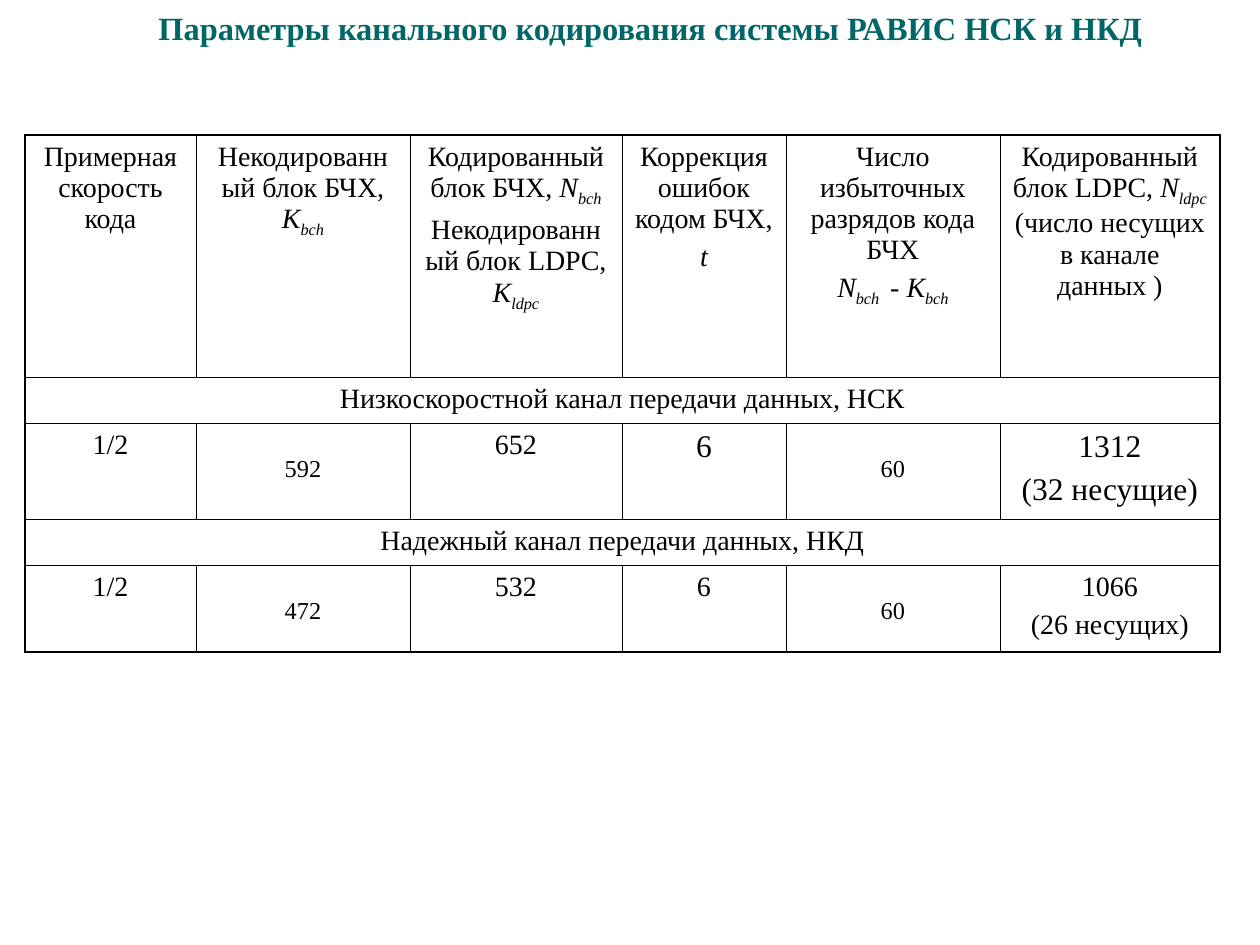
from dataclasses import dataclass

from lxml.etree import SubElement
from pptx import Presentation
from pptx.dml.color import RGBColor
from pptx.enum.text import MSO_ANCHOR, MSO_AUTO_SIZE, PP_ALIGN
from pptx.oxml.ns import qn
from pptx.util import Pt


@dataclass(frozen=True)
class Theme:
    font: str = "Times New Roman"
    title_color: str = "006666"
    text_color: str = "000000"
    title_size: float = 18.5
    body: int = 16
    large: int = 18
    lowered: int = 24
    thin: float = 0.45
    thick: float = 1.08


THEME = Theme()
EMU_PER_PX = 914400 / 126
PLAIN, ITALIC, SUB, LOW = "plain", "italic", "sub", "low"

# Content: a cell is (size, paragraphs), a paragraph is a list of (text, style)
TITLE = "Параметры канального кодирования системы РАВИС НСК и НКД"


def cell_text(*lines, size=THEME.body, style=PLAIN):
    return size, [[(line, style)] for line in lines]


def lowered(text):
    return cell_text(text, size=THEME.lowered, style=LOW)


HEADER = [
    cell_text("Примерная скорость кода"),
    (THEME.body, [[("Некодированный блок БЧХ, ", PLAIN), ("K", ITALIC), ("bch", SUB)]]),
    (THEME.body, [
        [("Кодированный блок БЧХ, ", PLAIN), ("N", ITALIC), ("bch", SUB)],
        [("Некодированный блок LDPC, ", PLAIN), ("K", ITALIC), ("ldpc", SUB)],
    ]),
    (THEME.body, [[("Коррекция ошибок кодом БЧХ,", PLAIN)], [("t", ITALIC)]]),
    (THEME.body, [
        [("Число избыточных разрядов кода БЧХ", PLAIN)],
        [("N", ITALIC), ("bch ", SUB), (" - K", ITALIC), ("bch", SUB)],
    ]),
    (THEME.body, [[("Кодированный блок LDPC, ", PLAIN), ("N", ITALIC),
                   ("ldpc ", SUB), ("(число несущих в канале данных )", PLAIN)]]),
]
# A row with a single cell spans the whole table
ROWS = [
    HEADER,
    [cell_text("Низкоскоростной канал передачи данных, НСК")],
    [cell_text("1/2"), lowered("592"), cell_text("652"),
     cell_text("6", size=THEME.large), lowered("60"),
     cell_text("1312", "(32 несущие)", size=THEME.large)],
    [cell_text("Надежный канал передачи данных, НКД")],
    [cell_text("1/2"), lowered("472"), cell_text("532"), cell_text("6"),
     lowered("60"), cell_text("1066", "(26 несущих)")],
]

# Geometry in px
SLIDE = (1260, 945)
TITLE_BOX = (74, 0, 1152, 54)
TABLE_AT = (25, 135)
COL_WIDTHS = [171, 214, 212, 164, 214, 220]
ROW_HEIGHTS = [242, 46, 96, 46, 87]


def px(value):
    return round(value * EMU_PER_PX)


def format_run(r, size, color, style=PLAIN, bold=False):
    r.font.name = THEME.font
    r.font.size = Pt(size)
    r.font.color.rgb = RGBColor.from_string(color)
    r.font.bold = bold
    r.font.italic = style in (ITALIC, SUB)
    if style in (SUB, LOW):
        r.font._element.set("baseline", "-25000")


def fill_cell(cell, size, paragraphs):
    tf = cell.text_frame
    for i, runs in enumerate(paragraphs):
        p = tf.add_paragraph() if i else tf.paragraphs[0]
        p.alignment = PP_ALIGN.CENTER
        p.space_before = Pt(size / 4)
        for text, style in runs:
            r = p.add_run()
            r.text = text
            format_run(r, size, THEME.text_color, style)


def set_borders(cell, outer):
    """Draw the four borders; sides named in outer get the thick line."""
    tcPr = cell._tc.get_or_add_tcPr()
    for i, side in enumerate("LRTB"):
        width = THEME.thick if side in outer else THEME.thin
        ln = SubElement(tcPr, qn(f"a:ln{side}"), w=str(Pt(width)))
        SubElement(SubElement(ln, qn("a:solidFill")), qn("a:srgbClr"), val=THEME.text_color)
        tcPr.insert(i, ln)


def add_title(s):
    sp = s.shapes.title
    sp.left, sp.top, sp.width, sp.height = map(px, TITLE_BOX)
    tf = sp.text_frame
    tf.text = TITLE
    tf.word_wrap = True
    tf.auto_size = MSO_AUTO_SIZE.NONE
    tf.vertical_anchor = MSO_ANCHOR.BOTTOM
    p = tf.paragraphs[0]
    p.alignment = PP_ALIGN.CENTER
    p.line_spacing = 0.9
    format_run(p.runs[0], THEME.title_size, THEME.title_color, bold=True)


def add_parameter_table(s):
    n_rows, n_cols = len(ROWS), len(COL_WIDTHS)
    size = sum(COL_WIDTHS), sum(ROW_HEIGHTS)
    table = s.shapes.add_table(n_rows, n_cols, *map(px, TABLE_AT + size)).table
    table.first_row = table.horz_banding = False
    for col, width in zip(table.columns, COL_WIDTHS):
        col.width = px(width)
    for row, height in zip(table.rows, ROW_HEIGHTS):
        row.height = px(height)

    for y, row in enumerate(ROWS):
        spans = len(row) == 1
        if spans:
            table.cell(y, 0).merge(table.cell(y, n_cols - 1))
        for x, content in enumerate(row):
            fill_cell(table.cell(y, x), *content)
        for x in range(n_cols):
            cell = table.cell(y, x)
            cell.fill.background()
            edges = {"L": x == 0, "R": spans or x == n_cols - 1,
                     "T": y == 0, "B": y == n_rows - 1}
            set_borders(cell, [side for side, is_outer in edges.items() if is_outer])


def main():
    prs = Presentation()
    prs.slide_width, prs.slide_height = map(px, SLIDE)
    s = prs.slides.add_slide(prs.slide_layouts[5])
    add_title(s)
    add_parameter_table(s)
    prs.save("out.pptx")


if __name__ == "__main__":
    main()
